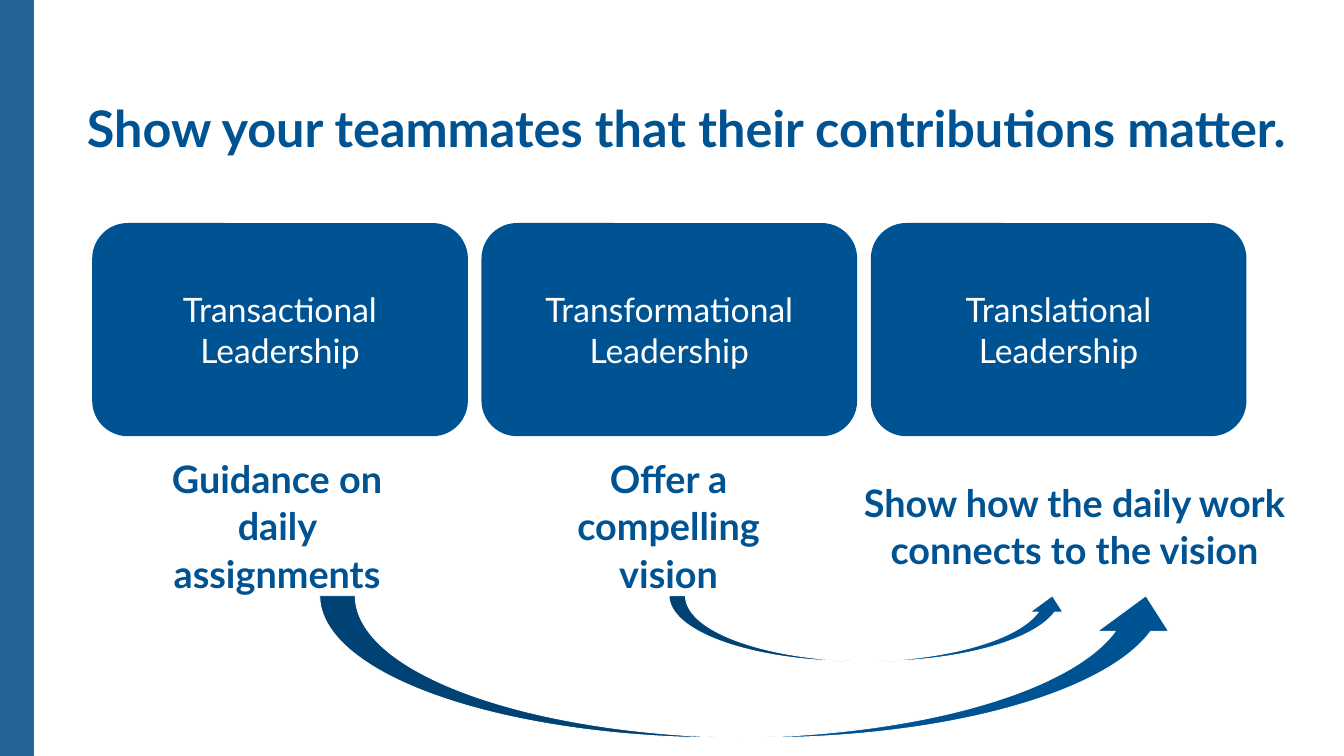
from pptx import Presentation
from pptx.dml.color import RGBColor
from pptx.enum.shapes import MSO_SHAPE as Preset
from pptx.enum.text import MSO_ANCHOR as Anchor, PP_ALIGN as Align
from pptx.util import Inches, Pt

BLUE, SIDE_BLUE, WHITE = "005392", "236599", "FFFFFF"
INSET = 0.07

# Card heading, guidance, and left and width of the guidance
STYLES = [
    ("Transactional Leadership", "Guidance on daily assignments", 1.69, 3.95),
    ("Transformational Leadership", "Offer a compelling vision", 6.87, 3.95),
    ("Translational Leadership",
     "Show how the daily work connects to the vision", 11.3, 5.83),
]


def color(value):
    return RGBColor.from_string(value)


def set_attributes(target, **values):
    for name, value in values.items():
        setattr(target, name, value)


def write(shape, text, size, font_color, bold=False, align=Align.CENTER,
          anchor=Anchor.MIDDLE, spacing=1.0, inset=None):
    frame = shape.text_frame
    set_attributes(frame, text=text, word_wrap=True, vertical_anchor=anchor)
    if inset is not None:
        for side in ("left", "top", "right", "bottom"):
            setattr(frame, f"margin_{side}", Inches(inset))
    paragraph = frame.paragraphs[0]
    set_attributes(paragraph, alignment=align, line_spacing=spacing)
    set_attributes(paragraph.font, name="Lato", size=Pt(size), bold=bold)
    paragraph.font.color.rgb = color(font_color)


def add_filled(slide, preset, box, fill, line=None):
    shape = slide.shapes.add_shape(preset, *map(Inches, box))
    shape.shadow.inherit = False
    shape.fill.solid()
    shape.fill.fore_color.rgb = color(fill)
    if line:
        shape.line.color.rgb = color(line)
        shape.line.width = Pt(0.85)
    else:
        shape.line.fill.background()
    return shape


def place_title(slide, left, top, width, height):
    title = slide.shapes.title
    set_attributes(title, left=Inches(left), top=Inches(top),
                   width=Inches(width), height=Inches(height))
    write(title, "Show your teammates that their contributions matter.",
          48, BLUE, bold=True, align=Align.LEFT, anchor=Anchor.TOP,
          spacing=1.05, inset=INSET)
    title.text_frame.margin_top = Inches(0.12)


def add_cards(slide, left, top, width, height, card_width=4.97):
    step = (width - card_width) / (len(STYLES) - 1)
    for index, (heading, *_) in enumerate(STYLES):
        box = (left + index * step, top, card_width, height)
        card = add_filled(slide, Preset.ROUNDED_RECTANGLE, box, BLUE)
        write(card, heading, 32, WHITE)


def add_guidance(slide, top, height):
    for _, guidance, left, width in STYLES:
        box = slide.shapes.add_textbox(*map(Inches, (left, top, width, height)))
        write(box, guidance, 36, BLUE, bold=True, spacing=1.05, inset=INSET)


def add_arrows(slide, top):
    for left, width, height in ((4.23, 11.4, 1.88), (8.85, 5.29, 0.87)):
        add_filled(slide, Preset.CURVED_UP_ARROW,
                   (left, top, width, height), BLUE, WHITE)


def main():
    presentation = Presentation()
    set_attributes(presentation, slide_width=Inches(17.78),
                   slide_height=Inches(10))
    # Title Only layout
    slide = presentation.slides.add_slide(presentation.slide_layouts[5])
    place_title(slide, 1.08, 1.12, 16.36, 3.61)
    # Side band
    add_filled(slide, Preset.RECTANGLE, (-0.1, 0, 0.55, 10), SIDE_BLUE)
    # Leadership styles, what each asks for, and how they lead to the third
    add_cards(slide, 1.22, 2.95, 15.27, 2.82)
    add_guidance(slide, 6, 1.88)
    add_arrows(slide, 7.88)
    presentation.save("out.pptx")


if __name__ == "__main__":
    main()
